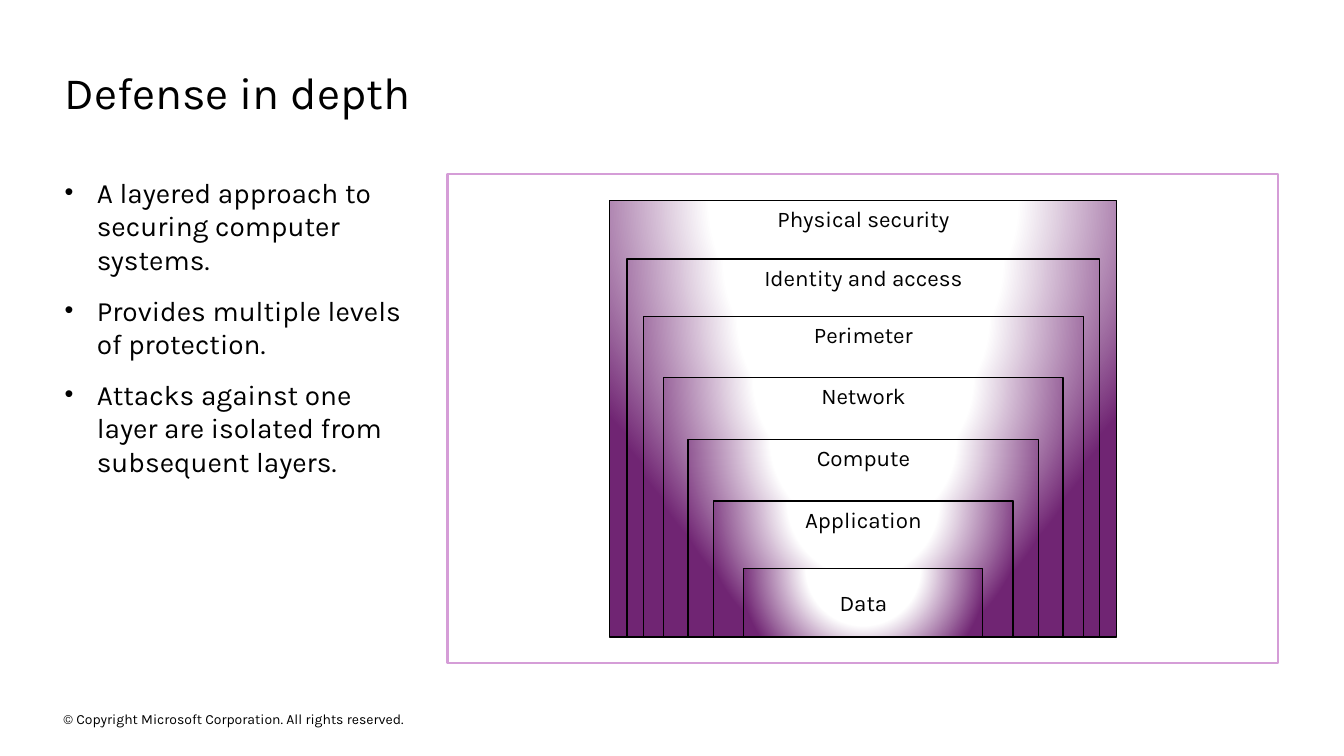
"""Builds the "Defense in depth" slide: bullets beside nested security layers."""
import dataclasses

import pptx
import pptx.dml.color
import pptx.enum.shapes
import pptx.enum.text
import pptx.oxml
import pptx.oxml.ns
import pptx.util

TITLE = "Defense in depth"
POINTS = [
    "A layered approach to securing computer systems.",
    "Provides multiple levels of protection.",
    "Attacks against one layer are isolated from subsequent layers.",
]
LAYERS = [
    ("Physical security", 37.73, 26.53),
    ("Identity and access", 35.18, 34.27),
    ("Perimeter", 32.78, 41.87),
    ("Network", 29.7, 49.9),
    ("Compute", 26.1, 58.13),
    ("Application", 22.28, 66.27),
    ("Data", 17.78, 75.2),
]
COPYRIGHT = "© Copyright Microsoft Corporation. All rights reserved."

TITLE_AREA = (4.8, 8.53, 90.6, 7.2)
POINTS_AREA = (4.8, 23.2, 26.03, 40.4)
FRAME_AREA = (33.3, 23.07, 61.8, 64.67)
COPYRIGHT_AREA = (4.72, 93.6, 34.05, 2.93)
LAYER_CENTER, LAYER_BOTTOM = 64.24, 84.27


@dataclasses.dataclass(frozen=True)
class Theme:
    font: str = "Karla"
    ink: str = "000000"
    frame: str = "D59DD7"
    glow: str = "FFFFFF"
    edge: str = "702573"
    title: int = 32
    body: int = 20
    layer: int = 16
    small: int = 10
    indent: float = 0.32
    gap: int = 12


THEME = Theme()
ANCHOR = pptx.enum.text.MSO_ANCHOR


def rgb(code):
    return pptx.dml.color.RGBColor.from_string(code)


def place(deck, area):
    left, top, width, height = area
    return (
        int(deck.slide_width * left / 100),
        int(deck.slide_height * top / 100),
        int(deck.slide_width * width / 100),
        int(deck.slide_height * height / 100),
    )


def style(paragraph, size):
    for run in paragraph.runs:
        run.font.name = THEME.font
        run.font.size = pptx.util.Pt(size)
        run.font.color.rgb = rgb(THEME.ink)


def add_text(deck, slide, area, lines, size, anchor=ANCHOR.TOP):
    frame = slide.shapes.add_textbox(*place(deck, area)).text_frame
    frame.word_wrap = True
    frame.vertical_anchor = anchor
    frame.margin_left = frame.margin_right = 0
    frame.margin_top = frame.margin_bottom = 0
    frame.text = "\n".join(lines)
    for paragraph in frame.paragraphs:
        style(paragraph, size)
    return frame


def add_bullet(paragraph):
    indent = pptx.util.Inches(THEME.indent)
    properties = paragraph._p.get_or_add_pPr()
    properties.set("marL", str(indent))
    properties.set("indent", str(-indent))
    paragraph.space_after = pptx.util.Pt(THEME.gap)
    namespace = pptx.oxml.ns.nsdecls("a")
    for tag in ('buSzPct {} val="90000"', 'buFont {} typeface="Arial"', 'buChar {} char="•"'):
        properties.append(pptx.oxml.parse_xml(f"<a:{tag.format(namespace)}/>"))


def add_rectangle(deck, slide, area, line_color, line_width):
    rectangle = slide.shapes.add_shape(
        pptx.enum.shapes.MSO_SHAPE.RECTANGLE, *place(deck, area))
    rectangle.shadow.inherit = False
    rectangle.fill.background()
    rectangle.line.color.rgb = rgb(line_color)
    rectangle.line.width = pptx.util.Pt(line_width)
    return rectangle


def fill_with_glow(shape):
    stops = ((0, THEME.glow), (46, THEME.glow), (100, THEME.edge))
    stop_xml = "".join(
        f'<a:gs pos="{share * 1000}"><a:srgbClr val="{color}"/></a:gs>'
        for share, color in stops)
    gradient = pptx.oxml.parse_xml(
        f'<a:gradFill {pptx.oxml.ns.nsdecls("a")} rotWithShape="1">'
        f'<a:gsLst>{stop_xml}</a:gsLst><a:path path="circle">'
        '<a:fillToRect l="50000" t="-80000" r="50000" b="180000"/>'
        '</a:path></a:gradFill>')
    properties = shape._element.spPr
    properties.replace(properties.find(pptx.oxml.ns.qn("a:noFill")), gradient)


def add_layer(deck, slide, name, width, top):
    area = (LAYER_CENTER - width / 2, top, width, LAYER_BOTTOM - top)
    layer = add_rectangle(deck, slide, area, THEME.ink, 0.85)
    fill_with_glow(layer)
    frame = layer.text_frame
    frame.text = name
    innermost = name == LAYERS[-1][0]
    frame.vertical_anchor = ANCHOR.MIDDLE if innermost else ANCHOR.TOP
    frame.paragraphs[0].alignment = pptx.enum.text.PP_ALIGN.CENTER
    style(frame.paragraphs[0], THEME.layer)


def main():
    deck = pptx.Presentation()
    deck.slide_width = pptx.util.Inches(13.33)
    deck.slide_height = pptx.util.Inches(7.5)
    slide = deck.slides.add_slide(deck.slide_layouts[6])

    add_text(deck, slide, TITLE_AREA, [TITLE], THEME.title)
    points = add_text(deck, slide, POINTS_AREA, POINTS, THEME.body)
    for paragraph in points.paragraphs:
        add_bullet(paragraph)
    for name, width, top in LAYERS:
        add_layer(deck, slide, name, width, top)
    add_rectangle(deck, slide, FRAME_AREA, THEME.frame, 1.5)
    add_text(deck, slide, COPYRIGHT_AREA, [COPYRIGHT], THEME.small, ANCHOR.MIDDLE)
    deck.save("out.pptx")


if __name__ == "__main__":
    main()
